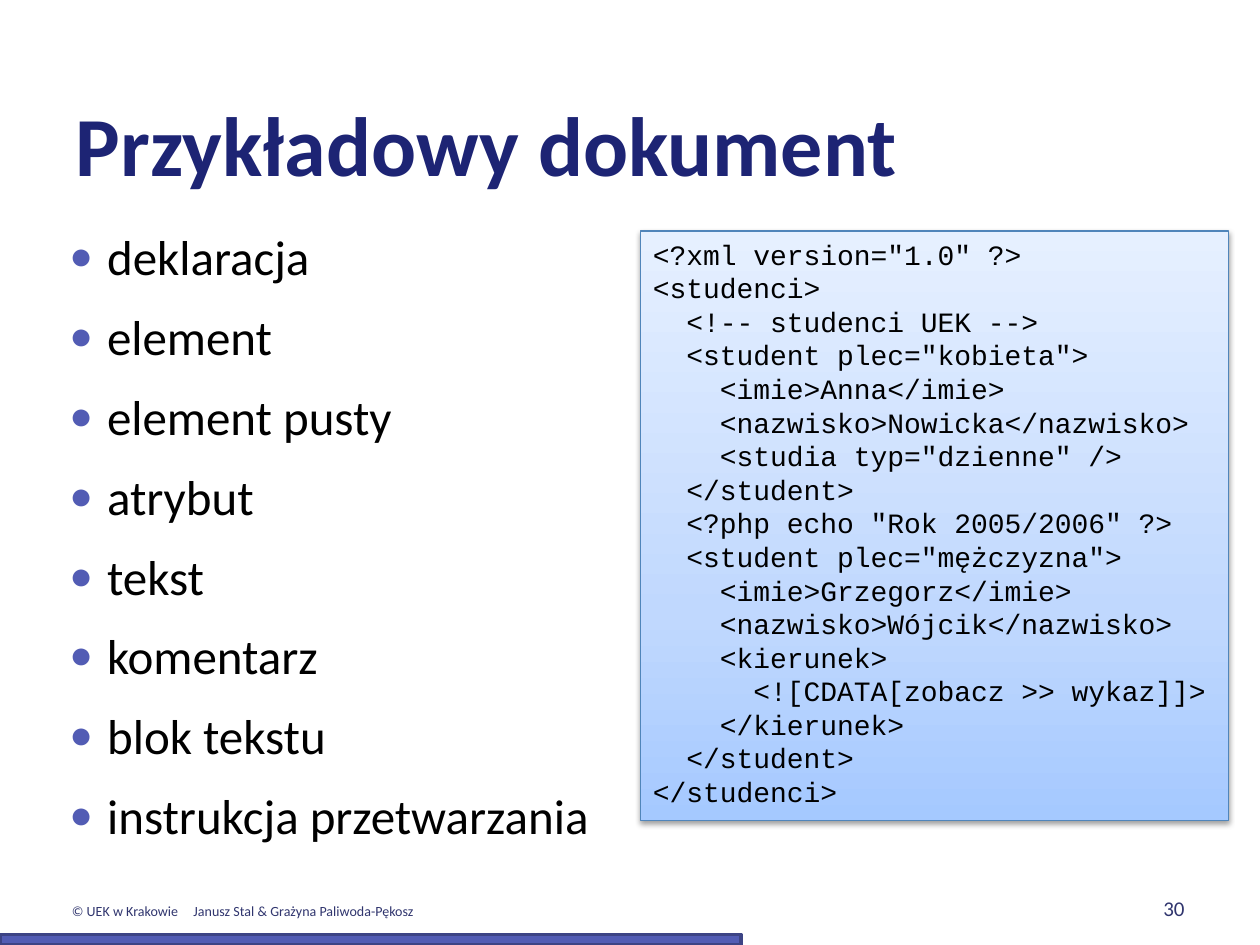
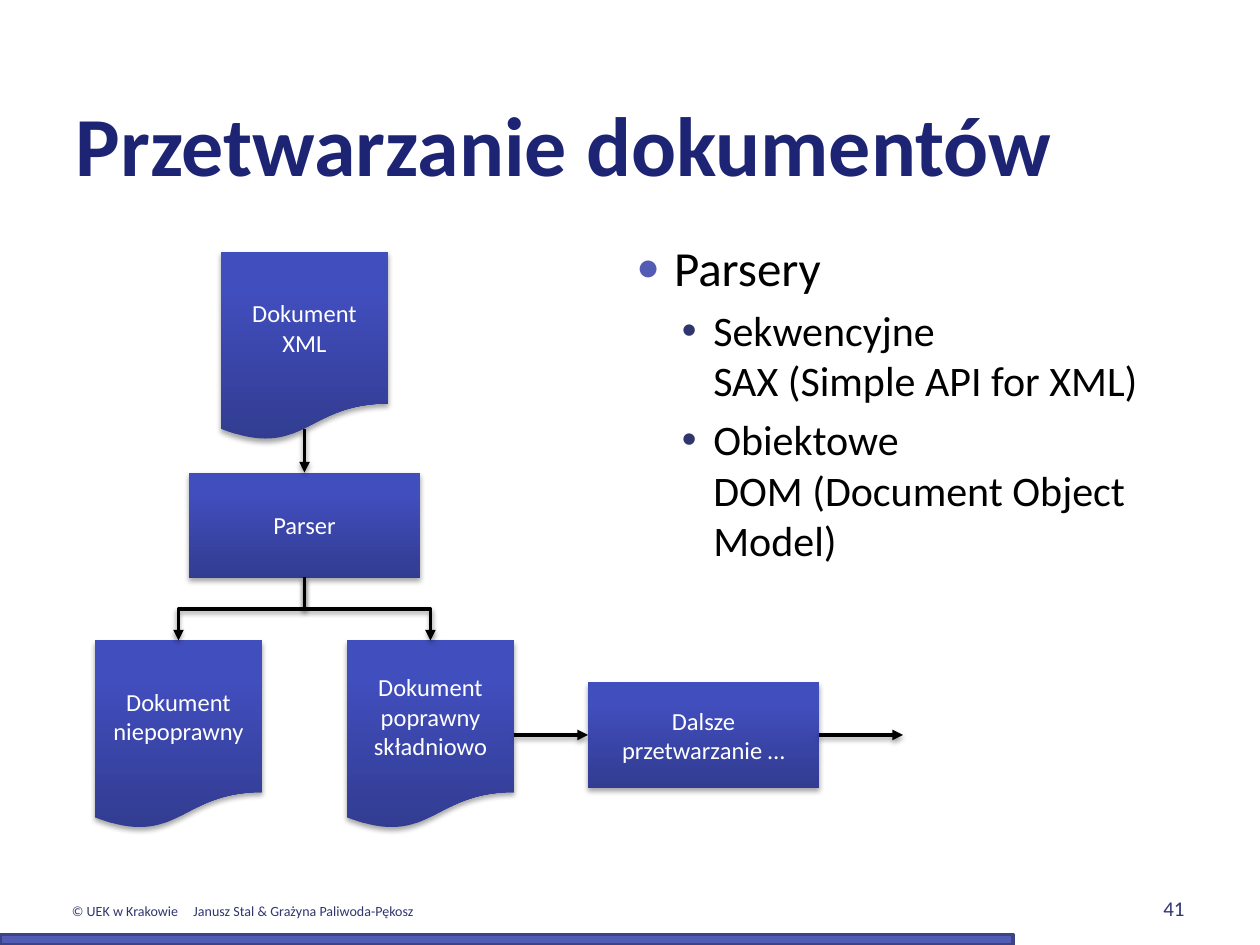
from copy import deepcopy

from lxml.etree import SubElement
from pptx import Presentation
from pptx.dml.color import RGBColor
from pptx.enum.shapes import MSO_CONNECTOR, MSO_SHAPE
from pptx.enum.text import MSO_ANCHOR, MSO_AUTO_SIZE, PP_ALIGN
from pptx.oxml.ns import qn
from pptx.util import Pt

NAVY, INDIGO, SLATE = "1D2474", "525CB4", "30356E"
BLACK, WHITE = "000000", "FFFFFF"
CODE_STOPS = [(0, "A5C9FF"), (0.35, "C0D8FE"), (1, "E6F0FF")]
BOX_STOPS = [(0, "323C91"), (0.8, "414EBD"), (1, "3F4CC0")]
SLIDE_COUNT = 51


def write(tf, lines, size, color, font="Calibri", bold=False, align=PP_ALIGN.LEFT,
          anchor=MSO_ANCHOR.TOP, wrap=True, space=0, level=0, bullet=None):
    """Append paragraphs; bullet is (character, colour, percent, indent, hanging)."""
    tf.auto_size = MSO_AUTO_SIZE.NONE
    tf.word_wrap = wrap
    tf.vertical_anchor = anchor
    for line in lines:
        first = not tf.text
        p = tf.paragraphs[0] if first else tf.add_paragraph()
        p.text = line
        p.alignment = align
        p.level = level
        if bullet:
            char, bullet_color, percent, indent, hanging = bullet
            pPr = p._p.get_or_add_pPr()
            pPr.set("marL", str(Pt(indent)))
            pPr.set("indent", str(-Pt(hanging)))
            SubElement(SubElement(pPr, qn("a:buClr")), qn("a:srgbClr"), val=bullet_color)
            SubElement(pPr, qn("a:buSzPct"), val=str(percent * 1000))
            SubElement(pPr, qn("a:buChar"), char=char)
        p.space_before = Pt(0 if first else space)
        for r in p.runs:
            r.font.name = font
            r.font.size = Pt(size)
            r.font.bold = bold
            r.font.color.rgb = RGBColor.from_string(color)
        for br in p._p.findall(qn("a:br")):
            br.append(deepcopy(p.runs[0]._r.rPr))


def style(sp, fill=None, line=None, width=2, shadow=None, arrow=False):
    """Set fill (hex or gradient stops), line, shadow (opacity %, distance) and arrowhead."""
    spPr = sp._element.spPr
    if isinstance(fill, str):
        sp.fill.solid()
        sp.fill.fore_color.rgb = RGBColor.from_string(fill)
    elif fill:
        sp.fill.gradient()
        sp.fill.gradient_angle = 90
        stop_list = spPr.find(qn("a:gradFill")).find(qn("a:gsLst"))
        stop_list.insert(1, deepcopy(stop_list[0]))
        for stop, (position, color) in zip(sp.fill.gradient_stops, fill):
            stop.position = position
            stop.color.rgb = RGBColor.from_string(color)
    if line:
        sp.line.color.rgb = RGBColor.from_string(line)
        sp.line.width = Pt(width)
    else:
        sp.line.fill.background()
    if arrow:
        SubElement(spPr.find(qn("a:ln")), qn("a:tailEnd"), type="triangle")
    effects = SubElement(spPr, qn("a:effectLst"))
    if shadow:
        opacity, distance = shadow
        outer = SubElement(effects, qn("a:outerShdw"), blurRad=str(Pt(3.1)),
                           dist=str(Pt(distance)), dir="5400000", rotWithShape="0")
        color = SubElement(outer, qn("a:srgbClr"), val=BLACK)
        SubElement(color, qn("a:alpha"), val=str(opacity * 1000))


prs = Presentation()
prs.slide_width, prs.slide_height = Pt(720), Pt(540)

main_bullet = {"size": 28, "color": BLACK, "space": 12,
               "bullet": ("●", INDIGO, 80, 21.6, 21.6)}
sub_bullet = {"size": 24, "color": BLACK, "space": 4.8, "level": 1,
              "bullet": ("•", SLATE, 100, 44, 18)}

# Title, body frame, footer, page number and progress bar of every slide
slides = []
for number, title, body_left, body_top in [
    (30, "Przykładowy dokument", 36, 126),
    (41, "Przetwarzanie dokumentów", 360, 132),
]:
    slide = prs.slides.add_slide(prs.slide_layouts[1])
    slides.append(slide)

    heading, body = slide.placeholders
    heading.left, heading.top, heading.width, heading.height = Pt(36), Pt(24), Pt(648), Pt(90)
    write(heading.text_frame, [title], 48, NAVY, bold=True, anchor=MSO_ANCHOR.BOTTOM)

    body.left, body.top, body.width, body.height = Pt(body_left), Pt(body_top), Pt(318), Pt(356)
    tf = body.text_frame
    tf.margin_left = tf.margin_right = tf.margin_top = tf.margin_bottom = Pt(3.6)

    footer = slide.shapes.add_textbox(Pt(34), Pt(512), Pt(225), Pt(17)).text_frame
    write(footer, ["© UEK w Krakowie\tJanusz Stal & Grażyna Paliwoda-Pękosz"], 8, SLATE,
          wrap=False)
    tabs = SubElement(footer.paragraphs[0]._p.get_or_add_pPr(), qn("a:tabLst"))
    SubElement(tabs, qn("a:tab"), pos=str(Pt(69.5)), algn="l")

    page = slide.shapes.add_textbox(Pt(516), Pt(492), Pt(168), Pt(37.5))
    write(page.text_frame, [str(number)], 12, SLATE, align=PP_ALIGN.RIGHT,
          anchor=MSO_ANCHOR.BOTTOM)

    progress = slide.shapes.add_shape(MSO_SHAPE.RECTANGLE, 0, Pt(534),
                                      Pt(round(720 * number / SLIDE_COUNT, 1)), Pt(6))
    style(progress, fill=INDIGO, line="3D4485")

# Slide 1: terms and the sample document
sample, processing = slides
write(sample.placeholders[1].text_frame,
      ["deklaracja", "element", "element pusty", "atrybut", "tekst", "komentarz",
       "blok tekstu", "instrukcja przetwarzania"], **main_bullet)

xml_code = """\
<?xml version="1.0" ?>
<studenci>
  <!-- studenci UEK -->
  <student plec="kobieta">
    <imie>Anna</imie>
    <nazwisko>Nowicka</nazwisko>
    <studia typ="dzienne" />
  </student>
  <?php echo "Rok 2005/2006" ?>
  <student plec="mężczyzna">
    <imie>Grzegorz</imie>
    <nazwisko>Wójcik</nazwisko>
    <kierunek>
      <![CDATA[zobacz >> wykaz]]>
    </kierunek>
  </student>
</studenci>"""
code_box = sample.shapes.add_shape(MSO_SHAPE.RECTANGLE, Pt(366), Pt(132), Pt(336), Pt(337))
style(code_box, fill=CODE_STOPS, line="5085BA", width=0.75, shadow=(38, 1.6))
write(code_box.text_frame, xml_code.splitlines(), 16, BLACK, font="Courier New")

# Slide 2: parsers and the processing flow
tf = processing.placeholders[1].text_frame
write(tf, ["Parsery"], **main_bullet)
write(tf, ["Sekwencyjne\nSAX (Simple API for XML)",
           "Obiektowe\nDOM (Document Object Model)"], **sub_bullet)

document = (MSO_SHAPE.FLOWCHART_DOCUMENT, 96, 108)
process = (MSO_SHAPE.FLOWCHART_PROCESS, 132, 60)
boxes = {}
for name, (kind, width, height), left, top, lines in [
    ("source", document, 126, 144, ["Dokument\nXML"]),
    ("parser", process, 108, 270, ["Parser"]),
    ("valid", document, 198, 366, ["Dokument", "poprawny", "składniowo"]),
    ("invalid", document, 54, 366, ["Dokument", "niepoprawny"]),
    ("further", process, 336, 390, ["Dalsze", "przetwarzanie …"]),
]:
    sp = processing.shapes.add_shape(kind, Pt(left), Pt(top), Pt(width), Pt(height))
    style(sp, fill=BOX_STOPS, shadow=(35, 1.8))
    write(sp.text_frame, lines, 14, WHITE, align=PP_ALIGN.CENTER,
          anchor=MSO_ANCHOR.MIDDLE, wrap=False)
    boxes[name] = sp

# The wavy edge of the source document lies above its frame, so that end stays free
for x1, y1, x2, y2, begin, end in [
    (174, 245, 174, 270, None, ("parser", 0)),
    (294, 420, 336, 420, ("valid", 3), ("further", 1)),
    (468, 420, 516, 420, ("further", 3), None),
]:
    arrow = processing.shapes.add_connector(MSO_CONNECTOR.STRAIGHT,
                                            Pt(x1), Pt(y1), Pt(x2), Pt(y2))
    if begin:
        arrow.begin_connect(boxes[begin[0]], begin[1])
    if end:
        arrow.end_connect(boxes[end[0]], end[1])
    style(arrow, line=BLACK, shadow=(38, 1.6), arrow=True)

# Elbows are laid out upright around their centre, then turned to leave the parser downwards
for center_x, half_width, rotation in [(138, 18, 90), (210, -18, 270)]:
    elbow = processing.shapes.add_connector(MSO_CONNECTOR.ELBOW, Pt(center_x - half_width),
                                            Pt(312), Pt(center_x + half_width), Pt(384))
    elbow.rotation = rotation
    style(elbow, line=BLACK, shadow=(38, 1.6), arrow=True)

prs.save("out.pptx")
